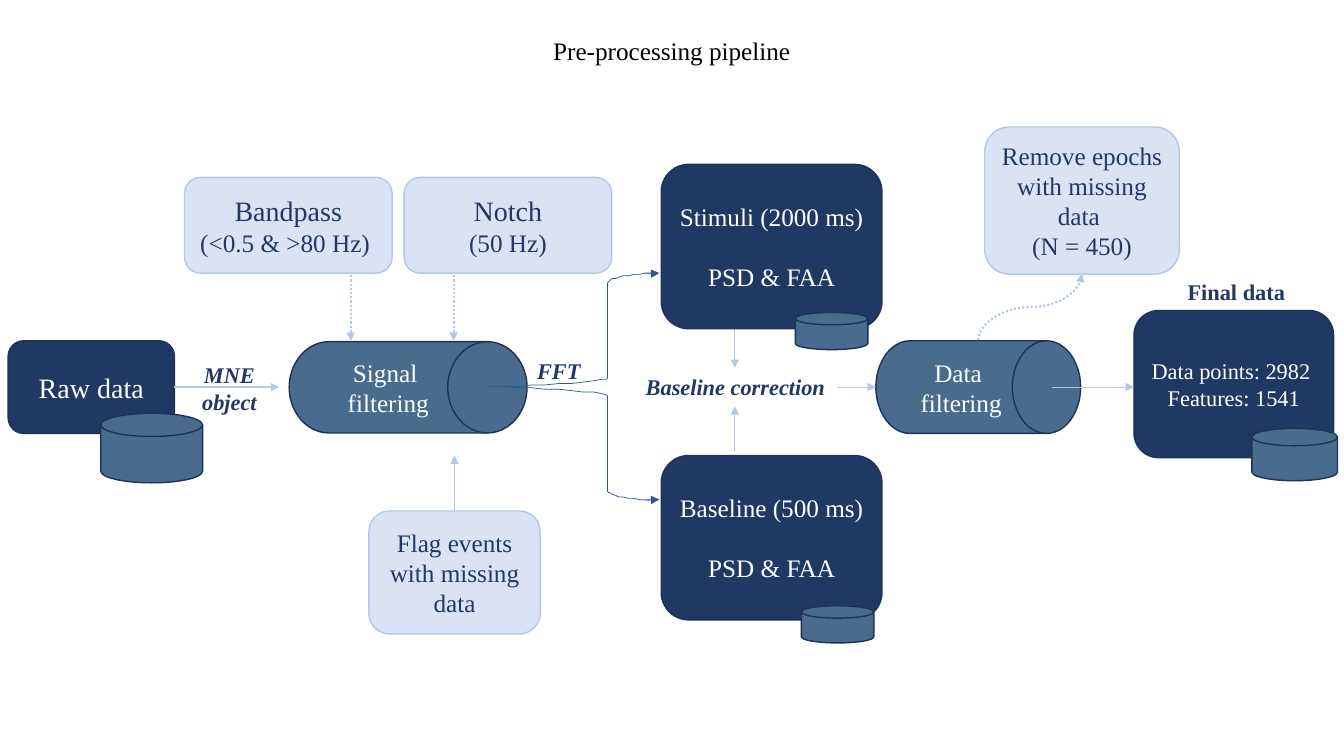
from lxml.etree import SubElement
from pptx import Presentation
from pptx.dml.color import RGBColor
from pptx.enum.dml import MSO_LINE
from pptx.enum.shapes import MSO_CONNECTOR as Line, MSO_SHAPE as Kind
from pptx.enum.text import MSO_ANCHOR as Anchor, MSO_AUTO_SIZE as AutoSize, PP_ALIGN as Align
from pptx.oxml.ns import qn
from pptx.util import Pt

NAVY = RGBColor(0x20, 0x38, 0x64)
OUTLINE = RGBColor(0x1E, 0x32, 0x56)
STEEL = RGBColor(0x48, 0x6B, 0x8E)
PALE = RGBColor(0xDA, 0xE3, 0xF3)
LIGHT_BLUE = RGBColor(0xB4, 0xC7, 0xE7)
BLUE = RGBColor(0x2F, 0x55, 0x97)
WHITE = RGBColor(0xFF, 0xFF, 0xFF)
BLACK = RGBColor(0, 0, 0)


class Pipeline:
    """Holds the slide and the style of its elements."""
    font = "Times New Roman"
    # fill, outline and text colour of each kind of step
    looks = {"data": (NAVY, OUTLINE, WHITE),
             "store": (STEEL, OUTLINE, WHITE),
             "note": (PALE, LIGHT_BLUE, NAVY)}

    def __init__(self, slide):
        self.slide = slide
        self.shapes = slide.shapes

    def set_text(self, shape, lines, color, gap=0, anchor=Anchor.MIDDLE, **style):
        """Each line is (text, size); gap is the space above later lines."""
        frame = shape.text_frame
        frame.word_wrap = True
        frame.vertical_anchor = anchor
        for number, (text, size) in enumerate(lines):
            paragraph = frame.add_paragraph() if number else frame.paragraphs[0]
            paragraph.alignment = Align.CENTER
            paragraph.space_before = Pt(gap if number else 0)
            run = paragraph.add_run()
            run.text = text
            values = {"name": self.font, "size": Pt(size), **style}
            for name, value in values.items():
                setattr(run.font, name, value)
            run.font.color.rgb = color

    def title(self, text, box):
        shape = self.shapes.title
        for name, value in zip(("left", "top", "width", "height"), box):
            setattr(shape, name, Pt(value))
        shape.text_frame.auto_size = AutoSize.NONE
        self.set_text(shape, [(text, 18)], BLACK, anchor=Anchor.TOP, bold=False)

    def step(self, kind, look, box, lines=(), gap=0):
        fill, outline, color = self.looks[look]
        shape = self.shapes.add_shape(kind, *map(Pt, box))
        shape.shadow.inherit = False
        shape.fill.solid()
        shape.fill.fore_color.rgb = fill
        shape.line.color.rgb = outline
        shape.line.width = Pt(1)
        self.set_text(shape, lines, color, gap)
        return shape

    def disk(self, *box):
        self.step(Kind.FLOWCHART_MAGNETIC_DISK, "store", box)

    def label(self, text, box, italic=True):
        shape = self.shapes.add_textbox(*map(Pt, box))
        self.set_text(shape, [(text, 16)], NAVY, anchor=Anchor.TOP, bold=True, italic=italic)

    def arrow(self, start, end, color=LIGHT_BLUE, width=0.5, dotted=False,
              kind=Line.STRAIGHT, rotation=0, source=None, target=None):
        """source and target are (shape, connection site)."""
        connector = self.shapes.add_connector(kind, *map(Pt, (*start, *end)))
        if source:
            connector.begin_connect(*source)
        if target:
            connector.end_connect(*target)
        connector.line.color.rgb = color
        connector.line.width = Pt(width)
        if dotted:
            connector.line.dash_style = MSO_LINE.ROUND_DOT
        properties = connector._element.spPr
        if rotation:
            properties.find(qn("a:xfrm")).set("rot", str(rotation * 60000))
        SubElement(properties.find(qn("a:ln")), qn("a:tailEnd"), type="triangle")
        SubElement(properties, qn("a:effectLst"))

    def fork(self, tip, stem, right, middle, reach, bend):
        """Brace that opens to the right, with a long pointed tip."""
        def curve(a, b, c, d):
            for step in range(13):
                t = step / 12
                yield tuple((1 - t) ** 3 * p + 3 * (1 - t) ** 2 * t * q
                            + 3 * (1 - t) * t ** 2 * r + t ** 3 * s
                            for p, q, r, s in zip(a, b, c, d))

        outer = curve((right, reach), ((right + stem) / 2, reach),
                      (stem, reach - bend / 2), (stem, reach - bend))
        inner = curve((stem, bend), (stem, bend / 2), (tip + 20, 0), (tip, 0))
        half = [*outer, *inner]
        points = [(x, middle + y) for x, y in half]
        points += [(x, middle - y) for x, y in reversed(half)]
        builder = self.shapes.build_freeform(*points[0], scale=Pt(1))
        builder.add_line_segments(points[1:], close=False)
        shape = builder.convert_to_shape()
        shape.shadow.inherit = False
        shape.fill.background()
        shape.line.color.rgb = BLUE
        shape.line.width = Pt(0.5)


def main():
    presentation = Presentation()
    presentation.slide_width, presentation.slide_height = Pt(960), Pt(540)
    slide = presentation.slides.add_slide(presentation.slide_layouts[5])
    pipeline = Pipeline(slide)
    box, drum = Kind.ROUNDED_RECTANGLE, Kind.FLOWCHART_DIRECT_ACCESS_STORAGE
    pipeline.title("Pre-processing pipeline", (197.3, 21.6, 565.2, 28.8))

    # Raw data and signal filtering
    pipeline.step(drum, "store", (206.6, 244.1, 169.9, 65.2),
                  [("Signal ", 18), ("filtering", 18)])
    raw_data = pipeline.step(box, "data", (5.8, 243.4, 118.8, 66.2), [("Raw data", 20)])
    pipeline.disk(72, 295.2, 72.7, 49.7)
    pipeline.arrow((124.6, 276.5), (199.4, 276.5), width=1, source=(raw_data, 3))
    pipeline.label("MNE object", (131.8, 254.2, 64.1, 46.1))

    # Filters above the drum, flagged events below it
    for left, arrow_x, name, band in ((131.8, 250.6, "Bandpass", "(<0.5 & >80 Hz) "),
                                      (288.7, 324, "Notch", "(50 Hz)")):
        pipeline.step(box, "note", (left, 126.7, 148.3, 68.4), [(name, 20), (band, 18)])
        pipeline.arrow((arrow_x, 196.6), (arrow_x, 243.4), width=1.5, dotted=True)
    flag = pipeline.step(box, "note", (263.5, 365, 122.4, 87.8),
                         [("Flag events with missing data", 18)])
    pipeline.arrow((324.7, 365), (324.7, 325.4), width=1, source=(flag, 0))

    # Fork into stimuli and baseline
    pipeline.label("FFT", (372.2, 251.3, 54, 26.6))
    pipeline.fork(tip=348.5, stem=434.2, right=470.2, middle=276.2, reach=81, bend=6.5)
    for top, text, disk_left, disk_top, arrow_start, arrow_end, tip in (
            (117.4, "Stimuli (2000 ms)", 568.1, 223.2, 231.1, 262.8, 195.1),
            (325.4, "Baseline (500 ms)", 572.4, 432.7, 321.8, 290.2, 356.8)):
        pipeline.arrow((524.9, arrow_start), (524.9, arrow_end))
        pipeline.step(box, "data", (472.3, top, 157.7, 117.4),
                      [(text, 18), ("PSD & FAA", 18)], gap=21.5)
        pipeline.disk(disk_left, disk_top, 51.8, 26.6)
        pipeline.arrow((461, tip + 0.5), (471, tip), color=BLUE)
    pipeline.label("Baseline correction", (452.2, 262.8, 146.2, 26.6))

    # Data filtering and removed epochs
    data_drum = pipeline.step(drum, "store", (625.7, 243.4, 146.2, 66.2),
                              [("Data ", 18), ("filtering", 18)])
    pipeline.arrow((597.6, 276.5), (625.7, 276.5), target=(data_drum, 1))
    pipeline.step(box, "note", (703.4, 90.7, 139, 105.1),
                  [("Remove epochs with missing data ", 18), ("(N = 450)", 18)])
    pipeline.arrow((759.6, 256.4), (712.1, 182.2), width=1.5, dotted=True,
                   kind=Line.CURVE, rotation=90)

    # Final data
    pipeline.step(box, "data", (810, 221.8, 142.6, 105.1),
                  [("Data points: 2982 ", 16), ("Features: 1541", 16)])
    pipeline.arrow((751.7, 276.5), (810, 276.5))
    pipeline.disk(894.2, 306, 61.2, 37.4)
    pipeline.label("Final data", (837.4, 195.1, 91.4, 26.6), italic=False)

    presentation.save("out.pptx")


if __name__ == "__main__":
    main()
